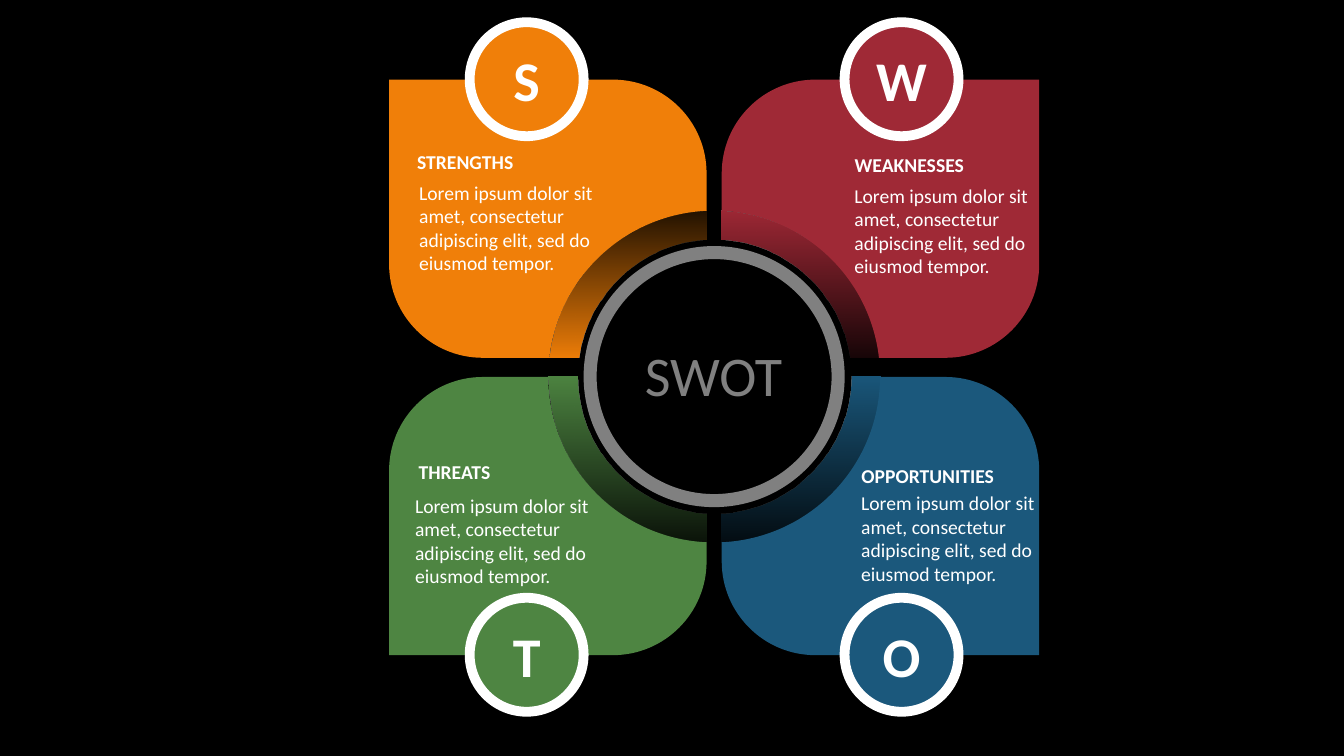
"""Build a SWOT slide: four petals around a ring."""
from math import asin, acos, cos, degrees, radians, sin, tan

from lxml import etree
from pptx import Presentation
from pptx.dml.color import RGBColor
from pptx.enum.shapes import MSO_SHAPE
from pptx.enum.text import MSO_AUTO_SIZE, PP_ALIGN
from pptx.oxml.ns import qn
from pptx.util import Pt

OVAL, DONUT = MSO_SHAPE.OVAL, MSO_SHAPE.DONUT
LEFT, MID = PP_ALIGN.LEFT, PP_ALIGN.CENTER
GROW = MSO_AUTO_SIZE.SHAPE_TO_FIT_TEXT

HUES = {"black": "000000", "white": "FFFFFF", "gray": "808080",
        "orange": "F07F09", "red": "9F2936", "green": "4E8542", "blue": "1B587C"}
BODY = "Lorem ipsum dolor sit amet, consectetur adipiscing elit, sed do eiusmod tempor."

CX, CY = 510.1, 269
GAP, WIDE, TALL = 5.4, 226.8, 198.7
ROUND, OUTER, INNER = 67, 118.5, 97.6
DISC, DISC_DX, DISC_CY, RING = 81.4, 133.9, 268.7, 186.5

# side x, side y, gap to centre, hue, top stop faded, letter, letter width,
# title, title box (left, top, width), body spot (left, top)
PARTS = [
    (-1, -1, 13.4, "orange", True, "S", 34, "STRENGTHS", (290.9, 103.7, 83.5), (292.3, 125.6)),
    (1, -1, 13.4, "red", False, "W", 51, "WEAKNESSES", (603.4, 105.8, 93.6), (603.2, 127.7)),
    (-1, 1, 0.3, "green", False, "T", 34, "THREATS", (291.9, 324.7, 66.2), (289.4, 349.1)),
    (1, 1, 0.3, "blue", False, "O", 42, "OPPORTUNITIES", (608.2, 328, 110.2), (608, 347.3)),
]


def tint(name):
    """Return the named colour."""
    return RGBColor.from_string(HUES[name])


def arc(x, y, size, start, end):
    """Return the four Bezier points of an arc, angles in degrees."""
    a, b = radians(start), radians(end)
    k = 4 / 3 * tan((b - a) / 4)
    dots = [(cos(a), sin(a)), (cos(a) - k * sin(a), sin(a) + k * cos(a)),
            (cos(b) + k * sin(b), sin(b) - k * cos(b)), (cos(b), sin(b))]
    return [(x + size * p, y + size * q) for p, q in dots]


def hub(size, near):
    """Return the arc round the centre, cut by both gaps."""
    return arc(0, 0, size, degrees(acos(GAP / size)), degrees(asin(near / size)))


def band(near):
    """Return the pieces of a shaded quarter band."""
    return [hub(OUTER, near), hub(INNER, near)[::-1]]


def petal(near):
    """Return the pieces of a petal with two round corners."""
    side, far = GAP + WIDE, near + TALL
    return [hub(OUTER, near),
            arc(side - ROUND, near + ROUND, ROUND, -90, 0),
            [(side, far)],
            arc(GAP + ROUND, far - ROUND, ROUND, 90, 180)]


def bend(shape, parts):
    """Turn the last three points of each arc piece into a curve."""
    legs = iter(list(shape.element.iter(qn("a:lnTo"))))
    for i, part in enumerate(parts):
        if i:
            next(legs)
        if len(part) == 4:
            first, *rest = [next(legs) for _ in range(3)]
            curve = etree.Element(qn("a:cubicBezTo"))
            first.addprevious(curve)
            for leg in (first, *rest):
                curve.append(leg[0])
                leg.getparent().remove(leg)


def draw(shapes, parts, sx, sy):
    """Draw a closed outline in one quarter of the slide."""
    spots = [(Pt(CX + sx * x), Pt(CY + sy * y)) for part in parts for x, y in part]
    form = shapes.build_freeform(*spots[0])
    form.add_line_segments(spots[1:], close=True)
    shape = form.convert_to_shape()
    bend(shape, parts)
    shape.shadow.inherit = False
    shape.line.fill.background()
    return shape


def paint(shape, hue):
    """Fill a shape with one colour."""
    shape.fill.solid()
    shape.fill.fore_color.rgb = tint(hue)


def fade(shape, hue, top):
    """Fill a shape with a colour that fades at its top or bottom."""
    shape.fill.gradient()
    shape.fill.gradient_angle = 270
    for stop in shape.fill.gradient_stops:
        stop.color.rgb = tint(hue)
    tones = list(shape.element.spPr.iter(qn("a:srgbClr")))
    etree.SubElement(tones[0 if top else 1], qn("a:alpha"), val="14000")


def disc(shapes, kind, x, y, size, hue):
    """Add a round shape about a centre."""
    shape = shapes.add_shape(kind, Pt(x - size / 2), Pt(y - size / 2), Pt(size), Pt(size))
    shape.shadow.inherit = False
    shape.line.fill.background()
    paint(shape, hue)
    return shape


def write(shapes, text, box, size, hue="white", bold=False, wrap=False, align=LEFT):
    """Add a text box."""
    frame = shapes.add_textbox(*map(Pt, box)).text_frame
    frame.word_wrap = wrap
    frame.auto_size = GROW
    para = frame.paragraphs[0]
    para.alignment = align
    run = para.add_run()
    run.text = text
    look = {"name": "Calibri", "size": Pt(size), "bold": bold}
    for key, value in look.items():
        setattr(run.font, key, value)
    run.font.color.rgb = tint(hue)


def main():
    """Build and save the slide."""
    deck = Presentation()
    deck.slide_width, deck.slide_height = Pt(960), Pt(540)
    slide = deck.slides.add_slide(deck.slide_layouts[6])
    paint(slide.background, "black")
    shapes = slide.shapes

    for sx, sy, near, hue, top, *_ in PARTS:
        fade(draw(shapes, band(near), sx, sy), hue, top)
    ring = disc(shapes, DONUT, CX, CY, RING, "gray")
    ring.adjustments[0] = 0.05
    write(shapes, "SWOT", (453.6, 239.8, 113.8, 55.4), 40, "gray")

    for sx, sy, near, hue, _, mark, wide, title, head, spot in PARTS:
        paint(draw(shapes, petal(near), sx, sy), hue)
        x, y = CX + sx * DISC_DX, DISC_CY + sy * (near + TALL)
        badge = disc(shapes, OVAL, x, y, DISC, hue)
        badge.line.color.rgb = tint("white")
        badge.line.width = Pt(7)
        write(shapes, mark, (x - wide / 2, y - 27.4, wide, 55.4), 40, bold=True, align=MID)
        write(shapes, BODY, (*spot, 167, 74.9), 14, wrap=True)
        write(shapes, title, (*head, 24.5), 14, bold=True)

    deck.save("out.pptx")


if __name__ == "__main__":
    main()
